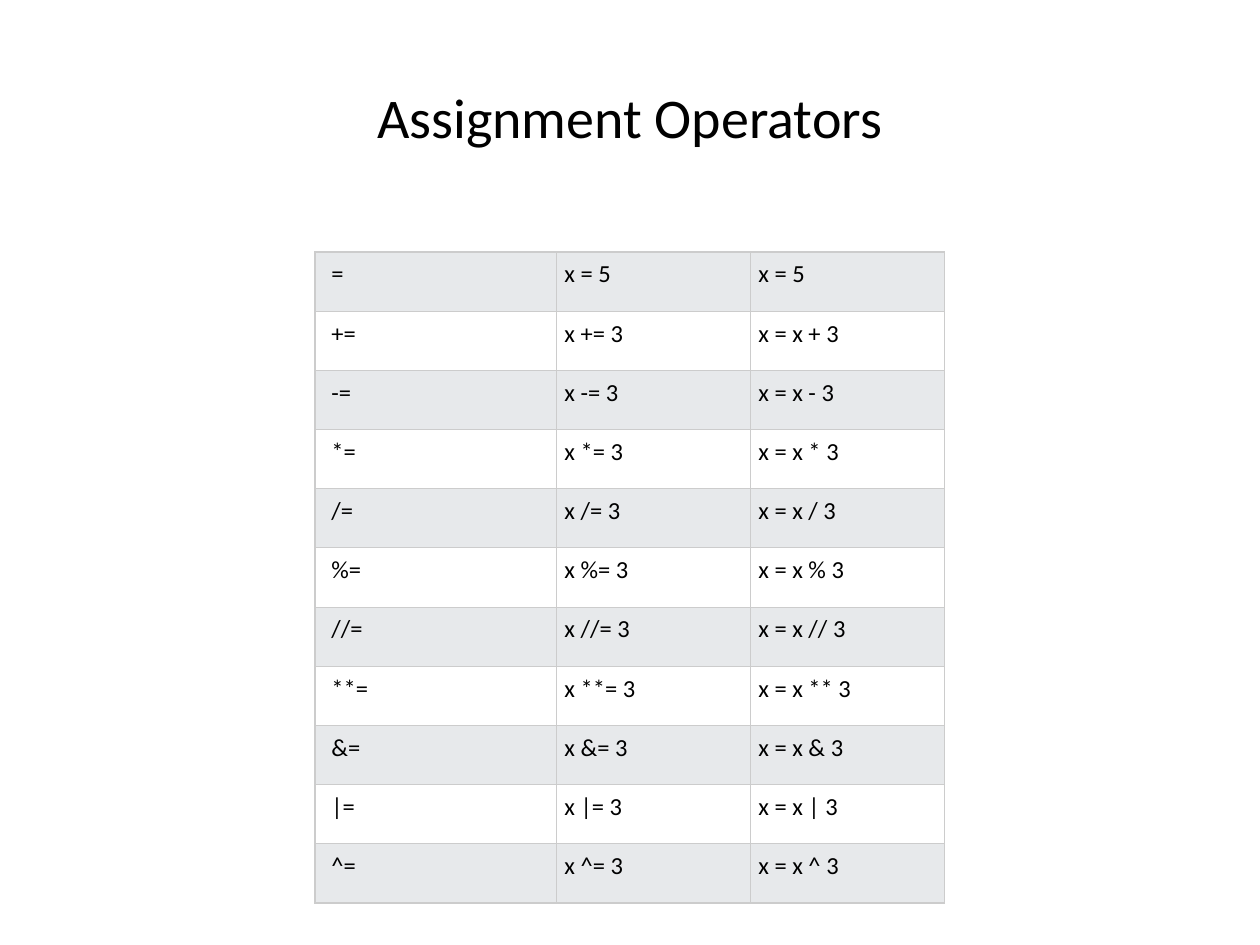
import pptx
import pptx.dml.color
import pptx.enum.text
import pptx.oxml
import pptx.oxml.ns
import pptx.util
from dataclasses import dataclass


@dataclass(frozen=True)
class Theme:
    font: str = "Calibri"
    ink: str = "000000"
    bands: tuple = ("E7E9EB", "FFFFFF")
    rule: str = "CCCCCC"
    title: int = 32
    body: int = 14


theme = Theme()
color = pptx.dml.color.RGBColor.from_string
inch = pptx.util.Inches
align = pptx.enum.text.PP_ALIGN
anchor = pptx.enum.text.MSO_ANCHOR


def write(frame, text, size=theme.body, side=align.LEFT):
    line = frame.paragraphs[0]
    line.alignment = side
    run = line.add_run()
    run.text = text
    run.font.name = theme.font
    run.font.size = pptx.util.Pt(size)
    run.font.color.rgb = color(theme.ink)


def border(cell, points=0.75):
    props = cell._tc.get_or_add_tcPr()
    for edge in ("lnL", "lnR", "lnT", "lnB"):
        props.append(pptx.oxml.parse_xml(
            f'<a:{edge} {pptx.oxml.ns.nsdecls("a")} w="{pptx.util.Pt(points)}">'
            f'<a:solidFill><a:srgbClr val="{theme.rule}"/></a:solidFill>'
            f'</a:{edge}>'))


deck = pptx.Presentation()
wide = deck.slide_width = inch(10)
high = deck.slide_height = inch(7.5)
slide = deck.slides.add_slide(deck.slide_layouts[6])

# Title
title = slide.shapes.add_textbox(
    int(wide * 0.05), int(high * 0.04), int(wide * 0.9), inch(1.25))
title.text_frame.word_wrap = True
title.text_frame.vertical_anchor = anchor.MIDDLE
write(title.text_frame, "Assignment Operators", size=theme.title, side=align.CENTER)

# Table: operator, short form, long form
signs = ["", "+", "-", "*", "/", "%", "//", "**", "&", "|", "^"]
rows = [(f"{sign}=", f"x {sign}= 3", f"x = x {sign} 3") for sign in signs]
rows[0] = ("=", "x = 5", "x = 5")
shares = (0.384, 0.308, 0.308)
span, step = wide // 2, inch(0.47)

table = slide.shapes.add_table(
    len(rows), len(shares), wide // 4, inch(2), span, step * len(rows)).table
table.first_row = table.horz_banding = False
for col, share in zip(table.columns, shares):
    col.width = int(span * share)

for r, row in enumerate(rows):
    table.rows[r].height = step
    for c, text in enumerate(row):
        cell = table.cell(r, c)
        cell.margin_left = inch(0.06 if c else 0.13)
        cell.margin_right = cell.margin_top = cell.margin_bottom = inch(0.06)
        border(cell)
        cell.fill.solid()
        cell.fill.fore_color.rgb = color(theme.bands[r % 2])
        write(cell.text_frame, text)

deck.save("out.pptx")
